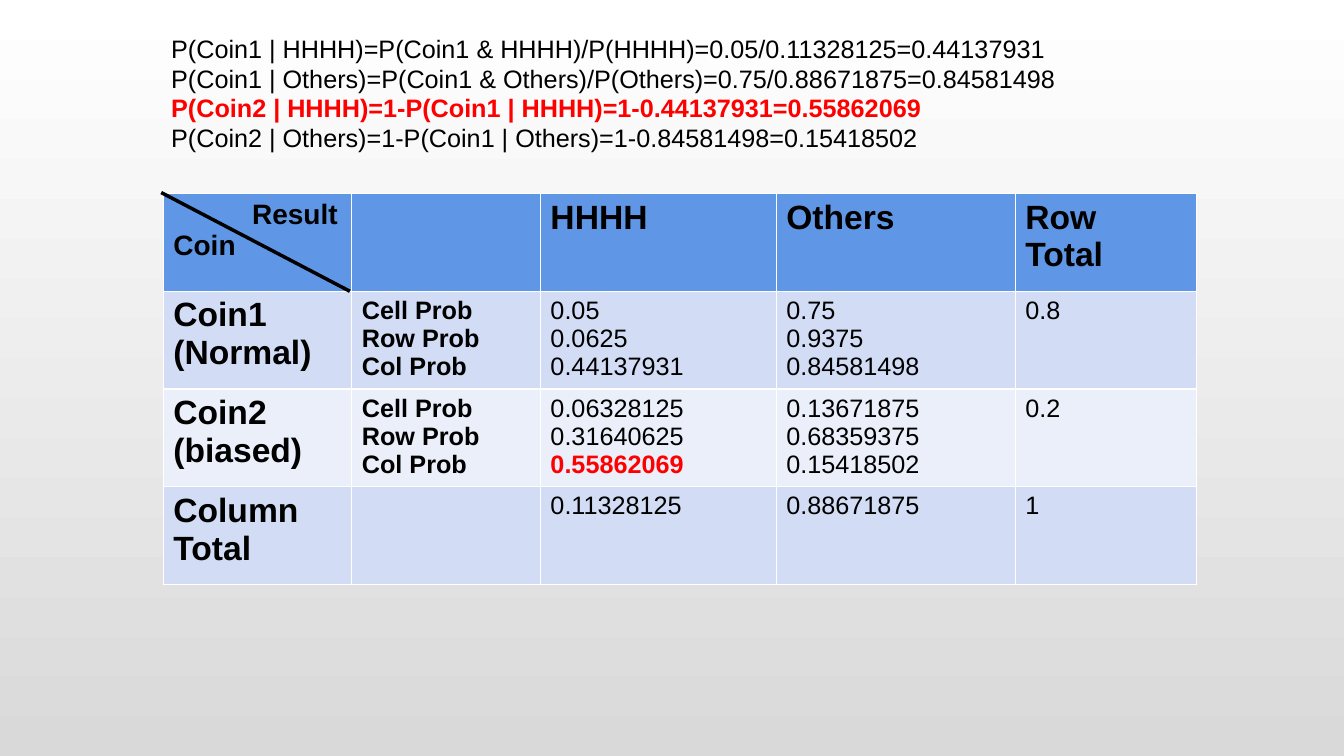
"""Build the slide of conditional probabilities for two coins."""
from lxml.etree import SubElement as Sub
from pptx import Presentation
from pptx.dml.color import RGBColor as Color
from pptx.enum.shapes import MSO_CONNECTOR as Link
from pptx.enum.text import MSO_AUTO_SIZE as Fit, PP_ALIGN as Align
from pptx.oxml.ns import qn
from pptx.util import Inches, Pt

WIDE, HIGH = Inches(13.33), Inches(7.5)
FONT, BLACK, RED = "Arial", "000000", "FF0000"
HEAD, DARK, PALE = "6096E6", "D2DDF5", "EAEFFA"
KEY = "0.55862069"
COLS = [14.03, 14.03, 17.55, 17.78, 13.5]
ROW = 12.93
PROBS = "Cell Prob\nRow Prob\nCol Prob"
CELLS = [
    ["Result\nCoin", "", "HHHH", "Others", "Row\nTotal"],
    ["Coin1\n(Normal)", PROBS, "0.05\n0.0625\n0.44137931",
     "0.75\n0.9375\n0.84581498", "0.8"],
    ["Coin2\n(biased)", PROBS, "0.06328125\n0.31640625\n0.55862069",
     "0.13671875\n0.68359375\n0.15418502", "0.2"],
    ["Column\nTotal", "", "0.11328125", "0.88671875", "1"],
]
LINES = [
    "P(Coin1 | HHHH)=P(Coin1 & HHHH)/P(HHHH)=0.05/0.11328125=0.44137931",
    "P(Coin1 | Others)=P(Coin1 & Others)/P(Others)=0.75/0.88671875=0.84581498",
    "P(Coin2 | HHHH)=1-P(Coin1 | HHHH)=1-0.44137931=0.55862069",
    "P(Coin2 | Others)=1-P(Coin1 | Others)=1-0.84581498=0.15418502",
]


def across(share):
    """Return a percentage of the slide's width."""
    return round(WIDE * share / 100)


def down(share):
    """Return a percentage of the slide's height."""
    return round(HIGH * share / 100)


def tint(code):
    """Turn a hex string into a colour."""
    return Color.from_string(code)


def write(frame, text, size, bold, pitch):
    """Fill a frame and format it, with the key result in bold red."""
    frame.text = text
    for para in frame.paragraphs:
        para.line_spacing = Pt(round(size * pitch, 1))
        for run in para.runs:
            key = run.text.endswith(KEY)
            font = run.font
            font.name, font.size = FONT, Pt(size)
            font.bold = bold or key
            font.color.rgb = tint(RED if key else BLACK)


def paint(slide):
    """Shade the background from white down to grey."""
    fill = slide.background.fill
    fill.gradient()
    fill.gradient_angle = 270
    for stop, code, place in zip(fill.gradient_stops, ("FFFFFF", "D9D9D9"), (0, 1)):
        stop.color.rgb = tint(code)
        stop.position = place


def add_sums(slide):
    """Add the worked formulas above the table."""
    box = slide.shapes.add_textbox(across(12), down(3.73), across(77.5), down(17.47))
    frame = box.text_frame
    frame.word_wrap = True
    frame.auto_size = Fit.SHAPE_TO_FIT_TEXT
    write(frame, "\n".join(LINES), 18, False, 1.19)


def add_grid(slide):
    """Add the table of cell, row and column probabilities."""
    table = slide.shapes.add_table(
        len(CELLS), len(COLS), across(12.15), down(25.6),
        across(sum(COLS)), down(ROW * len(CELLS))).table
    for col, share in zip(table.columns, COLS):
        col.width = across(share)
    for r, texts in enumerate(CELLS):
        table.rows[r].height = down(ROW)
        for c, text in enumerate(texts):
            cell = table.cell(r, c)
            cell.fill.solid()
            cell.fill.fore_color.rgb = tint((HEAD, DARK, PALE, DARK)[r])
            title = r == 0 or c == 0
            size = 20 if r == c == 0 else 24 if title else 18
            write(cell.text_frame, text, size, title or c == 1, 1.12)
    corner = table.cell(0, 0)
    corner.margin_right = across(1.05)
    corner.text_frame.paragraphs[0].alignment = Align.RIGHT


def add_slash(slide):
    """Split the corner cell with a diagonal line."""
    line = slide.shapes.add_connector(
        Link.STRAIGHT, across(12), down(25.47), across(26.03), down(38.53))
    line.line.color.rgb = tint(BLACK)
    line.line.width = Pt(2.5)
    Sub(line._element.spPr, qn("a:effectLst"))


def main():
    """Build the slide and save it."""
    deck = Presentation()
    deck.slide_width, deck.slide_height = WIDE, HIGH
    slide = deck.slides.add_slide(deck.slide_layouts[6])
    paint(slide)
    add_grid(slide)
    add_slash(slide)
    add_sums(slide)
    deck.save("out.pptx")


if __name__ == "__main__":
    main()
